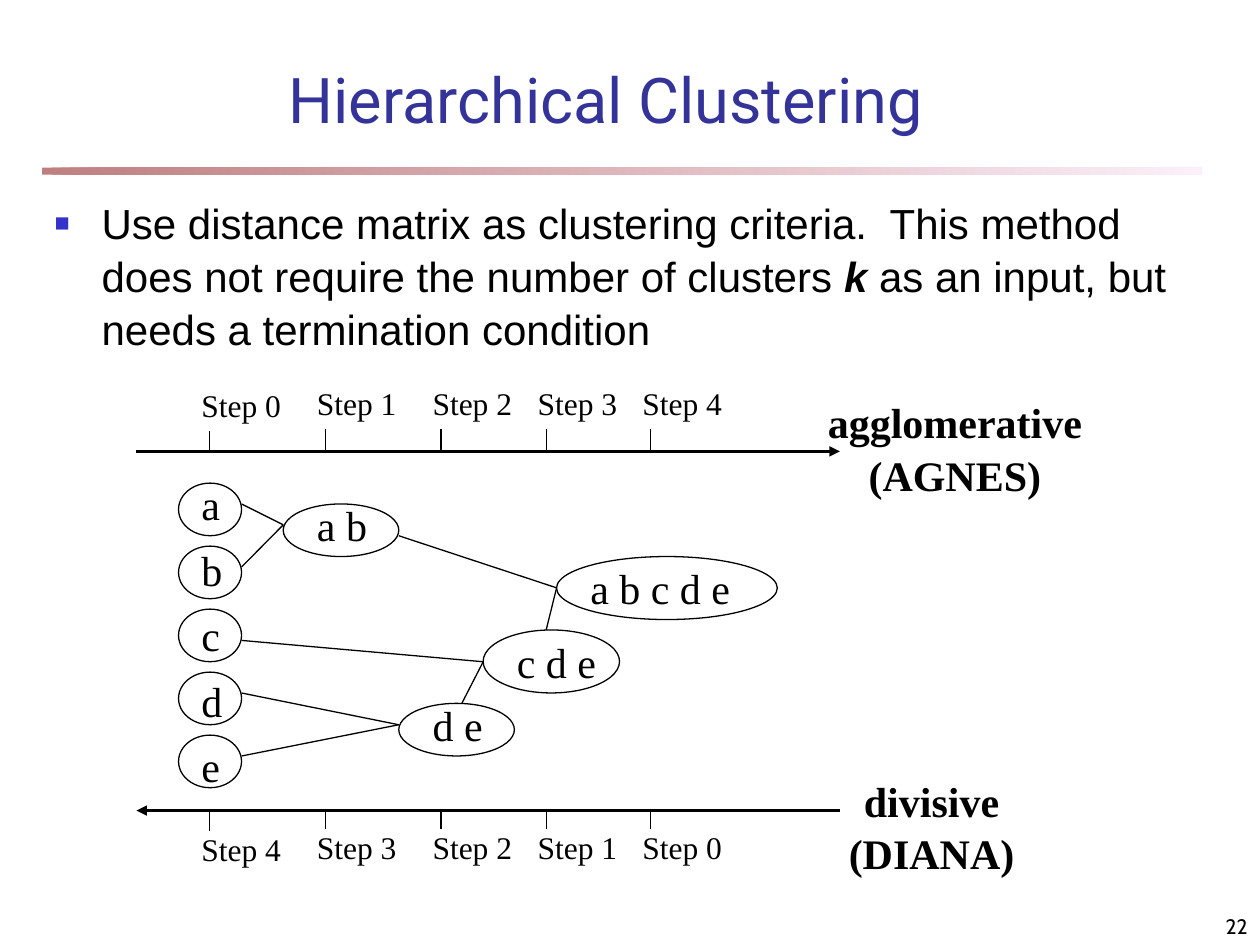
from lxml.etree import SubElement
from pptx import Presentation
from pptx.dml.color import RGBColor
from pptx.enum.shapes import MSO_CONNECTOR as Link, MSO_SHAPE as Shape
from pptx.enum.text import MSO_ANCHOR as Anchor, PP_ALIGN as Align
from pptx.oxml.ns import qn
from pptx.util import Cm, Pt

BLACK = RGBColor(0x00, 0x00, 0x00)
TITLE_BLUE = RGBColor(0x33, 0x33, 0x99)
BULLET_BLUE = RGBColor(0x33, 0x33, 0xCC)
BAR_COLOURS = (RGBColor(0x80, 0x00, 0x00), RGBColor(0xFA, 0xE2, 0xF6))
SERIF = "Times New Roman"
THIN = 0.74
TICKS = (1.48, 3.81, 6.14, 8.26, 10.37)

# left, top, width, height, then label width, inset and drop
MERGED = {
    "a b": (2.96, 2.54, 2.33, 1.06, 1.52, 0.43, -0.21),
    "d e": (5.29, 6.56, 2.33, 1.06, 1.52, 0.43, -0.21),
    "c d e": (6.99, 5.08, 2.75, 1.27, 2.11, 0.43, 0),
    "a b c d e": (8.47, 3.6, 4.45, 1.27, 3.33, 0.43, 0),
}
LINKS = (
    (2.12, 2.54, 2.96, 2.96), (2.12, 3.81, 2.96, 2.96),
    (2.12, 6.35, 5.29, 6.99), (2.12, 7.62, 5.29, 6.99),
    (2.12, 5.29, 6.99, 5.72), (6.56, 6.56, 6.99, 5.72),
    (5.29, 3.18, 8.47, 4.23), (8.26, 5.08, 8.47, 4.23),
)


def add_span(para, text, size, font=SERIF, colour=BLACK, bold=False, italic=False):
    """Add one formatted run to a paragraph."""
    span = para.add_run()
    span.text = text
    span.font.size = Pt(size)
    span.font.name = font
    span.font.color.rgb = colour
    span.font.bold = bold
    span.font.italic = italic


def add_box(shapes, left, top, width, height, wrap=True):
    """Add a text box and return its text frame."""
    frame = shapes.add_textbox(Cm(left), Cm(top), Cm(width), Cm(height)).text_frame
    frame.word_wrap = wrap
    return frame


def add_line(shapes, x1, y1, x2, y2, width=THIN, arrow=None):
    """Add a black line; arrow is headEnd or tailEnd."""
    line = shapes.add_connector(Link.STRAIGHT, Cm(x1), Cm(y1), Cm(x2), Cm(y2))
    line.line.color.rgb = BLACK
    line.line.width = Pt(width)
    if arrow:
        SubElement(line.line._get_or_add_ln(), qn("a:" + arrow), type="triangle")
    SubElement(line._element.spPr, qn("a:effectLst"))


def add_title(page, left, top, width, height):
    """Place the slide title."""
    title = page.shapes.title
    title.left, title.top, title.width, title.height = map(Cm, (left, top, width, height))
    title.text_frame.vertical_anchor = Anchor.MIDDLE
    para = title.text_frame.paragraphs[0]
    para.alignment = Align.CENTER
    add_span(para, "Hierarchical Clustering", 36, "Roboto", TITLE_BLUE)


def add_bar(page, left, top, width, height):
    """Draw the half-transparent gradient rule below the title."""
    bar = page.shapes.add_shape(Shape.RECTANGLE, Cm(left), Cm(top), Cm(width), Cm(height))
    bar.shadow.inherit = False
    bar.line.fill.background()
    bar.fill.gradient()
    bar.fill.gradient_angle = 0
    for stop, colour in zip(bar.fill.gradient_stops, BAR_COLOURS):
        stop.color.rgb = colour
    for tint in bar._element.spPr.iter(qn("a:srgbClr")):
        SubElement(tint, qn("a:alpha"), val="50000")


def add_body(page, left, top, width, height):
    """Write the bulleted paragraph."""
    para = add_box(page.shapes, left, top, width, height).paragraphs[0]
    para.line_spacing = 1.05
    props = para._p.get_or_add_pPr()
    props.set("marL", str(Cm(0.95)))
    props.set("indent", str(-Cm(0.95)))
    SubElement(SubElement(props, qn("a:buClr")), qn("a:srgbClr"), val=str(BULLET_BLUE))
    SubElement(props, qn("a:buSzPct"), val="60000")
    SubElement(props, qn("a:buFont"), typeface="Arial")
    SubElement(props, qn("a:buChar"), char="■")
    add_span(para, "Use distance matrix as clustering criteria.  This method does not "
             "require the number of clusters ", 24, "Arial")
    add_span(para, "k", 24, "Arial", bold=True, italic=True)
    add_span(para, " as an input, but needs a termination condition", 24, "Arial")


def add_axis(shapes, left, top, axis, tick, label, steps, arrow):
    """Draw a step axis; axis, tick and label are heights below top."""
    add_line(shapes, left, top + axis, left + 14.18, top + axis, 1.5, arrow)
    for index, (x, step) in enumerate(zip(TICKS, steps)):
        shift = top + (0.04 if index == 0 else 0)
        add_line(shapes, left + x, shift + tick, left + x, shift + tick + 0.42)
        frame = add_box(shapes, left + x - 0.42, shift + label, 2.12, 1.02)
        add_span(frame.paragraphs[0], f"Step {step}", 18)


def add_node(shapes, left, top, width, height, text, text_width, inset, drop):
    """Draw one cluster: an outlined ellipse and its letters."""
    frame = add_box(shapes, left + inset, top + drop, text_width, 1.27, wrap=False)
    add_span(frame.paragraphs[0], text, 24)
    ellipse = shapes.add_shape(Shape.OVAL, Cm(left), Cm(top), Cm(width), Cm(height))
    ellipse.shadow.inherit = False
    ellipse.fill.background()
    ellipse.line.color.rgb = BLACK
    ellipse.line.width = Pt(THIN)


def add_method(shapes, left, top, width, lines):
    """Name a clustering method in bold, centred lines."""
    frame = add_box(shapes, left, top, width, 2.29, wrap=False)
    for index, text in enumerate(lines):
        para = frame.add_paragraph() if index else frame.paragraphs[0]
        para.alignment = Align.CENTER
        para.line_spacing = 1.05
        add_span(para, text, 24, bold=True)


def add_diagram(page, left, top):
    """Draw the cluster tree between its two step axes."""
    shapes = page.shapes.add_group_shape().shapes
    add_axis(shapes, left, top, 1.48, 1.03, 0, range(5), "tailEnd")
    for row, letter in enumerate("abcde"):
        add_node(shapes, left + 0.85, top + 2.12 + 1.27 * row, 1.27, 1.06,
                 letter, 0.9, 0.21, 0.05 * row - 0.21)
    for text, (x, y, width, height, *label) in MERGED.items():
        add_node(shapes, left + x, top + y, width, height, text, *label)
    add_axis(shapes, left, top, 8.72, 8.68, 8.94, reversed(range(5)), "headEnd")
    for x1, y1, x2, y2 in LINKS:
        add_line(shapes, left + x1, top + y1, left + x2, top + y2)
    add_method(shapes, left + 13.68, top + 0.2, 5.64, ("agglomerative", "(AGNES)"))
    add_method(shapes, left + 14.11, top + 7.83, 3.84, ("divisive", "(DIANA)"))


def add_number(page, left, top, width, height):
    """Write the slide number."""
    frame = add_box(page.shapes, left, top, width, height)
    frame.vertical_anchor = Anchor.BOTTOM
    para = frame.paragraphs[0]
    para.alignment = Align.RIGHT
    add_span(para, "22", 12, "Cabin")


deck = Presentation()
deck.slide_width, deck.slide_height = Cm(25.4), Cm(19.05)
page = deck.slides.add_slide(deck.slide_layouts[5])
add_bar(page, 0.85, 3.38, 23.37, 0.14)
add_title(page, 2.08, 1.37, 20.27, 1.22)
add_body(page, 0.85, 3.81, 23.06, 3.38)
add_diagram(page, 2.75, 7.62)
add_number(page, 20.11, 17.99, 5.29, 1.06)
deck.save("out.pptx")
